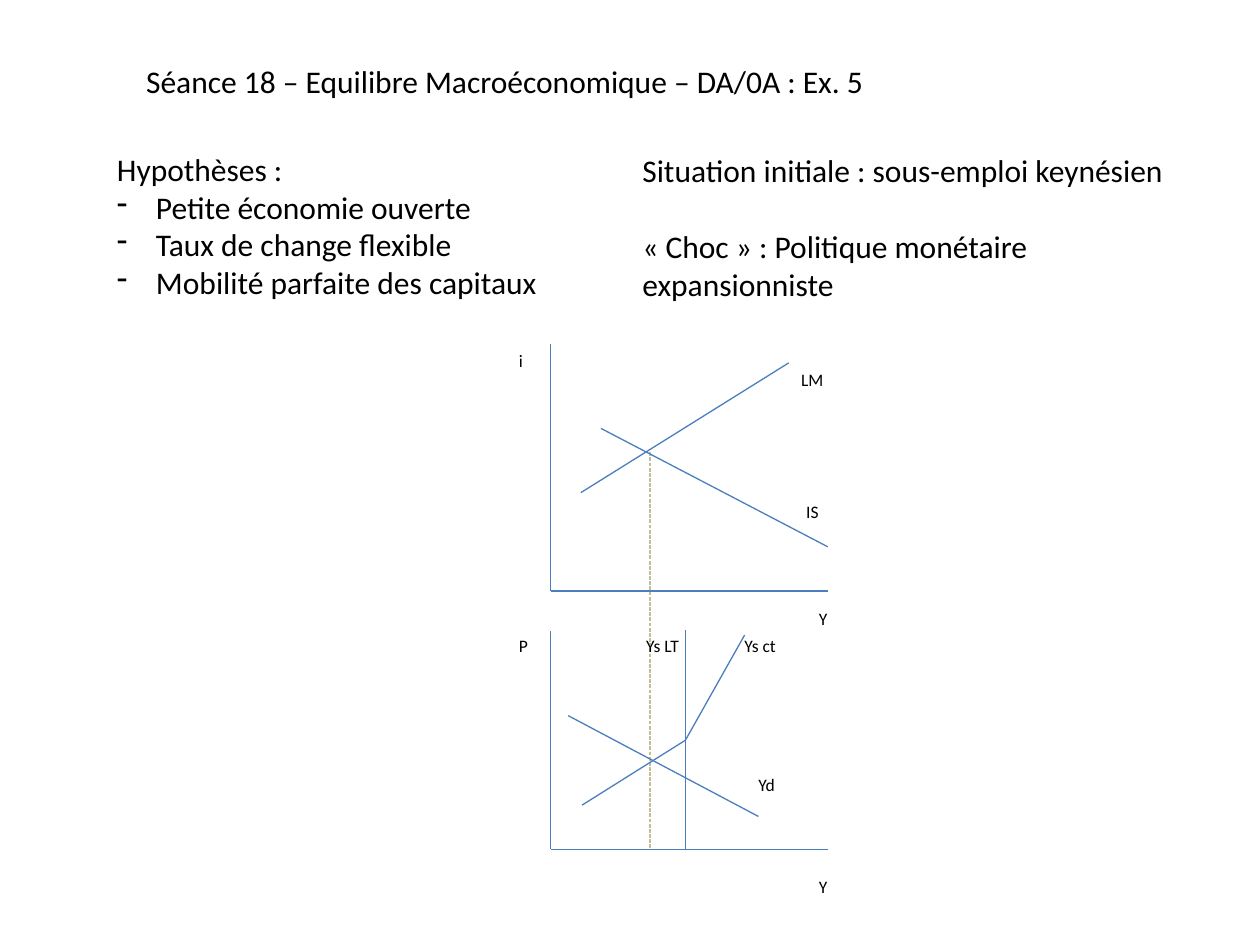
from pptx import Presentation
from pptx.dml.color import RGBColor
from pptx.enum.dml import MSO_LINE
from pptx.enum.shapes import MSO_CONNECTOR
from pptx.enum.text import MSO_ANCHOR, MSO_AUTO_SIZE, PP_ALIGN
from pptx.oxml.ns import qn
from pptx.util import Inches, Pt
from lxml import etree

STRAIGHT = MSO_CONNECTOR.STRAIGHT
DASHED = MSO_LINE.SQUARE_DOT
TOP = MSO_ANCHOR.TOP
LEFT = PP_ALIGN.LEFT
NO_FIT = MSO_AUTO_SIZE.NONE

CELL = 0.1  # inches per grid column and row
COLORS = {"text": "000000", "curve": "4B7EBC", "guide": "C4BD97"}
FONT = "Calibri"
BODY, SMALL = 18, 10


def cells(count):
    return Inches(count * CELL)


class Slide:
    def __init__(self, deck):
        self.page = deck.slides.add_slide(deck.slide_layouts[5])

    def color(self, name):
        return RGBColor.from_string(COLORS[name])

    def fill_text(self, box, lines, size):
        frame = box.text_frame
        frame.word_wrap = True
        frame.auto_size = NO_FIT
        frame.vertical_anchor = TOP
        frame.text = "\n".join(lines)
        for para in frame.paragraphs:
            para.alignment = LEFT
            para.font.name = FONT
            para.font.size = Pt(size)
            para.font.color.rgb = self.color("text")
        return frame.paragraphs

    def title(self, text, left, top, width, height):
        box = self.page.shapes.title
        box.left, box.top = cells(left), cells(top)
        box.width, box.height = cells(width), cells(height)
        self.fill_text(box, [text], BODY)

    def text(self, lines, left, top, width, height, size=BODY):
        box = self.page.shapes.add_textbox(
            cells(left), cells(top), cells(width), cells(height))
        return self.fill_text(box, lines, size)

    def label(self, text, left, top, width=6):
        self.text([text], left, top, width, 2.7, SMALL)

    def bullet(self, para, mark="-", indent=3.1):
        props = para._p.get_or_add_pPr()
        props.set("marL", str(cells(indent)))
        props.set("indent", str(-cells(indent)))
        mark_font = etree.Element(qn("a:buFontTx"))
        mark_char = etree.Element(qn("a:buChar"), char=mark)
        props.insert(0, mark_font)
        mark_font.addnext(mark_char)

    def line(self, start, end, color="curve", dash=None):
        line = self.page.shapes.add_connector(
            STRAIGHT, *map(cells, start), *map(cells, end))
        line.line.color.rgb = self.color(color)
        line.line.width = Pt(0.75)
        if dash:
            line.line.dash_style = dash
        etree.SubElement(line._element.spPr, qn("a:effectLst"))

    def axes(self, top, bottom, name, name_top, y_top, left=43.7, right=65.7):
        self.line((left, top), (left, bottom))
        self.line((right, bottom), (left, bottom))
        self.label(name, left - 3.5, name_top, 2.8)
        self.label("Y", right - 1.7, y_top, 2.8)


def main():
    deck = Presentation()
    deck.slide_width, deck.slide_height = cells(100), cells(75)
    slide = Slide(deck)

    # Title and the two text columns
    slide.title("Séance 18 – Equilibre Macroéconomique – DA/0A : Ex. 5",
                10.6, 4.4, 76.4, 4)
    hypotheses = slide.text(
        ["Hypothèses :", "Petite économie ouverte", "Taux de change flexible",
         "Mobilité parfaite des capitaux"], 8.3, 11.4, 38.6, 13.1)
    for para in hypotheses[1:]:
        slide.bullet(para)
    situation = slide.text(
        ["Situation initiale : sous-emploi keynésien",
         "« Choc » : Politique monétaire expansionniste"],
        50, 11.5, 45.7, 13.1)
    situation[1].space_before = Pt(22)

    # Axes of the IS-LM diagram and of the supply and demand diagram
    slide.axes(27.3, 46.9, "i", 27.3, 47.8)
    slide.axes(50.1, 67.4, "P", 49.9, 69)

    # Equilibrium income, shared by both diagrams
    slide.line((51.6, 35.9), (51.6, 67.4), "guide", DASHED)

    # Curves: LM, IS, short-run supply in two parts, long-run supply, demand
    kink = (54.4, 58.75)
    for start, end in [
        ((46.1, 39.1), (62.6, 28.8)),
        ((65.7, 43.4), (47.7, 34)),
        ((46.2, 63.9), kink),
        (kink, (59.1, 50.4)),
        ((54.4, 67.4), (54.4, 50)),
        ((45.1, 56.8), (60.2, 64.8)),
    ]:
        slide.line(start, end)

    # Curve names
    for name, left, top in [
        ("LM", 62.6, 28.8), ("IS", 63, 39.3), ("Ys ct", 58.1, 49.9),
        ("Ys LT", 50.3, 49.9), ("Yd", 59.2, 60.9),
    ]:
        slide.label(name, left, top)

    deck.save("out.pptx")


if __name__ == "__main__":
    main()
